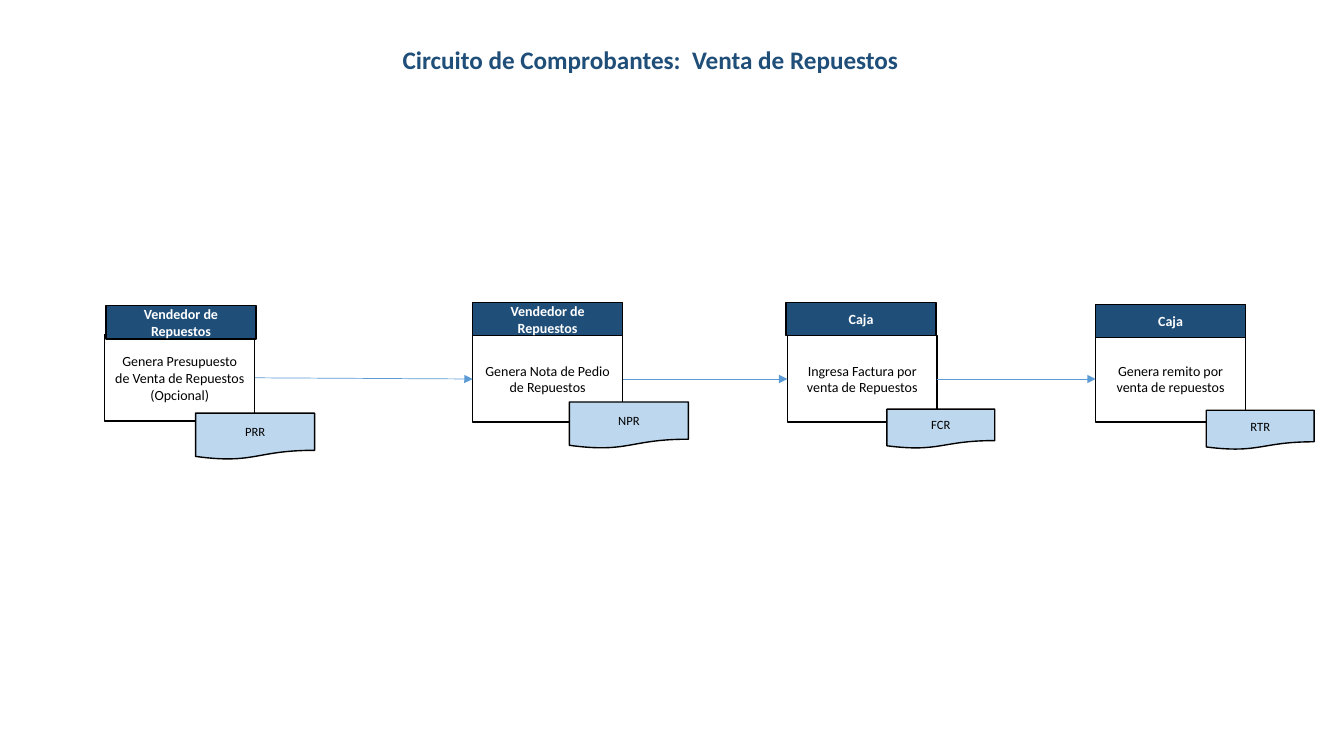
"""Build the voucher circuit slide for spare-part sales."""
from dataclasses import dataclass
from itertools import pairwise

from lxml.etree import SubElement
from pptx import Presentation
from pptx.dml.color import RGBColor
from pptx.enum.shapes import MSO_CONNECTOR, MSO_SHAPE
from pptx.enum.text import MSO_ANCHOR, PP_ALIGN
from pptx.oxml.ns import qn
from pptx.shapes.autoshape import Shape
from pptx.slide import Slide
from pptx.text.text import TextFrame
from pptx.util import Cm, Pt


@dataclass(frozen=True)
class Theme:
    font: str = "Calibri"
    navy: str = "1F4E79"
    pale: str = "BDD7EE"
    blue: str = "5B9BD5"
    white: str = "FFFFFF"
    black: str = "000000"
    title: float = 18
    label: float = 10
    code: float = 9
    edge: float = 1
    arrow: float = 0.5


@dataclass(frozen=True)
class Box:
    left: float
    top: float
    width: float
    height: float

    def lengths(self) -> tuple[Cm, Cm, Cm, Cm]:
        return Cm(self.left), Cm(self.top), Cm(self.width), Cm(self.height)


@dataclass(frozen=True)
class Style:
    kind: MSO_SHAPE
    fill: str
    color: str
    size: float
    bold: bool = False


@dataclass(frozen=True)
class Step:
    role: str
    task: str
    code: str
    body: tuple[float, float]
    head: tuple[float, float]
    doc: Box


THEME = Theme()
HEAD = Style(MSO_SHAPE.RECTANGLE, THEME.navy, THEME.white, THEME.label, True)
BODY = Style(MSO_SHAPE.RECTANGLE, THEME.white, THEME.black, THEME.label)
DOC = Style(MSO_SHAPE.FLOWCHART_DOCUMENT, THEME.pale, THEME.black, THEME.code)
WIDTH, BODY_H, HEAD_H = 3.78, 2.18, 0.84

STEPS = [
    Step("Vendedor de Repuestos",
         "Genera Presupuesto de Venta de Repuestos\n(Opcional)", "PRR",
         (2.64, 8.43), (2.67, 7.7), Box(4.93, 10.41, 3, 1.17)),
    Step("Vendedor de Repuestos", "Genera Nota de Pedio de Repuestos", "NPR",
         (11.91, 8.46), (11.91, 7.62), Box(14.35, 10.13, 3, 1.17)),
    Step("Caja", "Ingresa Factura por venta de Repuestos", "FCR",
         (19.84, 8.46), (19.81, 7.62), Box(22.35, 10.31, 2.72, 0.99)),
    Step("Caja", "Genera remito por venta de repuestos", "RTR",
         (27.61, 8.46), (27.61, 7.67), Box(30.4, 10.34, 2.72, 0.99)),
]


def write(frame: TextFrame, text: str, size: float, color: str, bold: bool) -> None:
    frame.word_wrap = True
    frame.text = text
    for para in frame.paragraphs:
        para.alignment = PP_ALIGN.CENTER
        para.font.name = THEME.font
        para.font.size = Pt(size)
        para.font.bold = bold
        para.font.color.rgb = RGBColor.from_string(color)


def draw(slide: Slide, box: Box, text: str, style: Style) -> Shape:
    shape = slide.shapes.add_shape(style.kind, *box.lengths())
    shape.shadow.inherit = False
    shape.fill.solid()
    shape.fill.fore_color.rgb = RGBColor.from_string(style.fill)
    shape.line.color.rgb = RGBColor.from_string(THEME.black)
    shape.line.width = Pt(THEME.edge)
    shape.text_frame.vertical_anchor = MSO_ANCHOR.MIDDLE
    write(shape.text_frame, text, style.size, style.color, style.bold)
    return shape


def place(slide: Slide, step: Step) -> Shape:
    body = draw(slide, Box(*step.body, WIDTH, BODY_H), step.task, BODY)
    draw(slide, step.doc, step.code, DOC)
    draw(slide, Box(*step.head, WIDTH, HEAD_H), step.role, HEAD)
    return body


def link(slide: Slide, start: Shape, end: Shape) -> None:
    line = slide.shapes.add_connector(MSO_CONNECTOR.STRAIGHT, 0, 0, 0, 0)
    line.begin_connect(start, 3)
    line.end_connect(end, 1)
    line.line.color.rgb = RGBColor.from_string(THEME.blue)
    line.line.width = Pt(THEME.arrow)
    SubElement(line.line._get_or_add_ln(), qn("a:tailEnd"), type="triangle")
    SubElement(line._element.spPr, qn("a:effectLst"))


def main() -> None:
    deck = Presentation()
    deck.slide_width, deck.slide_height = Cm(33.87), Cm(19.05)
    slide = deck.slides.add_slide(deck.slide_layouts[6])
    title = slide.shapes.add_textbox(*Box(4.19, 0.99, 24.41, 1.02).lengths())
    write(title.text_frame, "Circuito de Comprobantes:  Venta de Repuestos",
          THEME.title, THEME.navy, True)
    bodies = [place(slide, step) for step in STEPS]
    for start, end in pairwise(bodies):
        link(slide, start, end)
    deck.save("out.pptx")


main()
